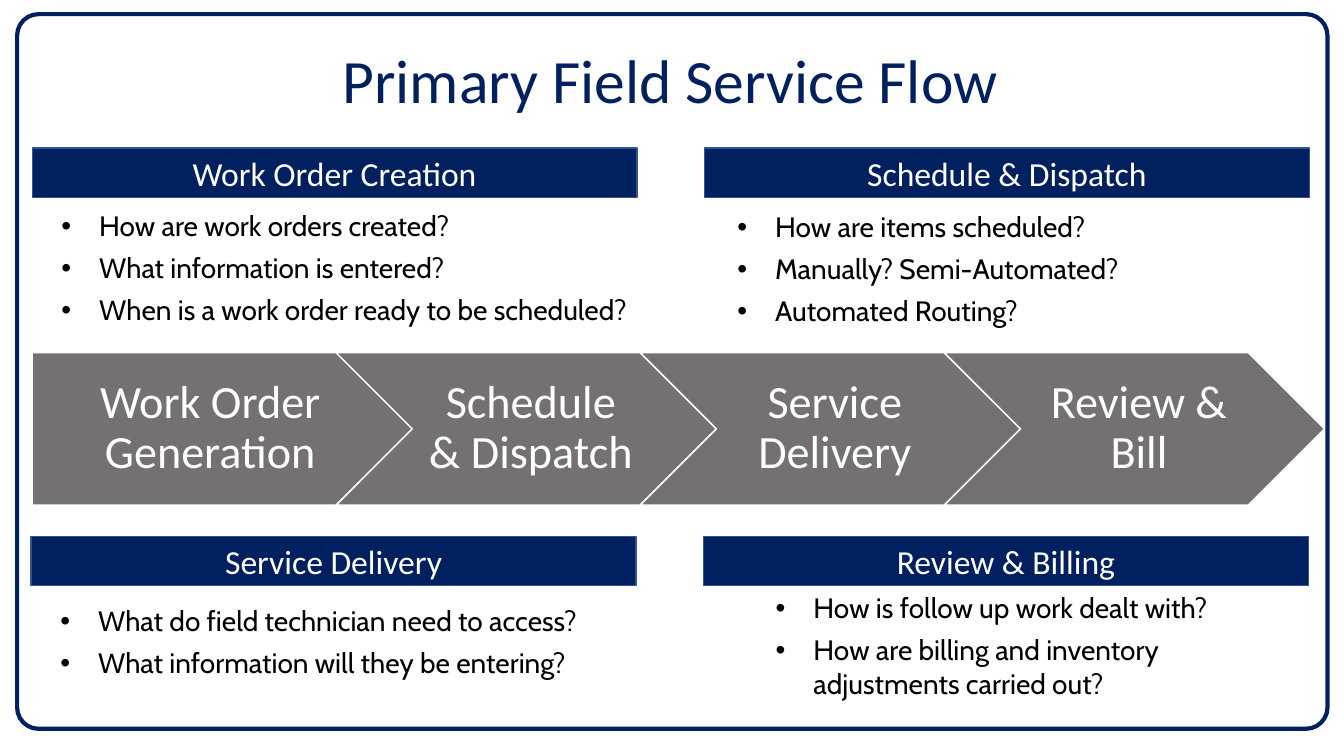
from dataclasses import dataclass

from lxml import etree
from pptx import Presentation
from pptx import util as u
from pptx.dml.color import RGBColor
from pptx.enum import shapes, text
from pptx.oxml import ns
from pptx.shapes.autoshape import Shape
from pptx.text.text import TextFrame

NAVY = RGBColor(0x00, 0x20, 0x60)
EDGE_BLUE = RGBColor(0x32, 0x54, 0x91)
GRAY = RGBColor(0x76, 0x71, 0x71)
WHITE = RGBColor(0xFF, 0xFF, 0xFF)
BLACK = RGBColor(0x00, 0x00, 0x00)

# The slide is a grid of 80 columns and 45 rows of square cells
COLUMNS, ROWS = 80, 45
CELL = u.Inches(7.5) / ROWS
HANGING = 2.25


@dataclass(frozen=True)
class Box:
    column: float
    row: float
    columns: float
    rows: float


@dataclass(frozen=True)
class Topic:
    heading: str
    heading_box: Box
    questions: tuple[str, ...]
    list_box: Box
    indent: float


TOPICS = (
    Topic("Work Order Creation", Box(1.92, 8.82, 36, 2.94),
          ("How are work orders created?", "What information is entered?",
           "When is a work order ready to be scheduled?"),
          Box(1.92, 12.12, 40, 7.68), 3.38),
    Topic("Schedule & Dispatch", Box(41.94, 8.82, 36, 2.94),
          ("How are items scheduled?", "Manually? Semi-Automated?", "Automated Routing?"),
          Box(41.4, 12.18, 38.1, 7.68), 4.14),
    Topic("Service Delivery", Box(1.86, 31.92, 36, 2.94),
          ("What do field technician need to access?", "What information will they be entering?"),
          Box(1.86, 35.64, 40, 5.16), 3.38),
    Topic("Review & Billing", Box(41.88, 31.92, 36, 2.94),
          ("How is follow up work dealt with?",
           "How are billing and inventory adjustments carried out?"),
          Box(42.6, 34.86, 35.34, 7.14), 5.22),
)
STAGES = ("Work Order Generation", "Schedule & Dispatch", "Service Delivery", "Review & Bill")
FIRST_STAGE = Box(1.92, 21, 22.62, 9.06)
STAGE_STEP = 18.1


def cells(count: float) -> u.Emu:
    return u.Emu(round(count * CELL))


def place(shape, box: Box) -> None:
    shape.left, shape.top = cells(box.column), cells(box.row)
    shape.width, shape.height = cells(box.columns), cells(box.rows)


def add_run(paragraph, words: str, size: float, font: str, color: RGBColor) -> None:
    run = paragraph.add_run()
    run.text = words
    run.font.size, run.font.name, run.font.bold = u.Pt(size), font, False
    run.font.color.rgb = color


def add_panel(slide, kind, box: Box, fill: RGBColor, line: RGBColor, weight: float) -> Shape:
    shape = slide.shapes.add_shape(kind, 0, 0, 0, 0)
    place(shape, box)
    shape.shadow.inherit = False
    shape.fill.solid()
    shape.fill.fore_color.rgb = fill
    shape.line.color.rgb = line
    shape.line.width = u.Pt(weight)
    return shape


def center_text(frame: TextFrame, words: str, size: float, color: RGBColor) -> None:
    frame.word_wrap = True
    frame.auto_size = text.MSO_AUTO_SIZE.NONE
    frame.vertical_anchor = text.MSO_ANCHOR.MIDDLE
    paragraph = frame.paragraphs[0]
    paragraph.alignment = text.PP_ALIGN.CENTER
    add_run(paragraph, words, size, "Calibri", color)


def fill_list(placeholder, topic: Topic) -> None:
    place(placeholder, topic.list_box)
    frame = placeholder.text_frame
    frame.word_wrap = True
    frame.auto_size = text.MSO_AUTO_SIZE.NONE
    frame.vertical_anchor = text.MSO_ANCHOR.TOP
    for index, question in enumerate(topic.questions):
        paragraph = frame.add_paragraph() if index else frame.paragraphs[0]
        properties = paragraph._p.get_or_add_pPr()
        properties.set("marL", str(cells(topic.indent)))
        properties.set("indent", str(-cells(HANGING)))
        etree.SubElement(properties, ns.qn("a:buFont"), typeface="Arial")
        etree.SubElement(properties, ns.qn("a:buChar"), char="•")
        paragraph.space_before, paragraph.space_after = u.Pt(0), u.Pt(6)
        add_run(paragraph, question, 20, "Cabin", BLACK)


def add_stage(slide, index: int, words: str) -> None:
    kind = shapes.MSO_SHAPE.CHEVRON if index else shapes.MSO_SHAPE.PENTAGON
    box = Box(FIRST_STAGE.column + index * STAGE_STEP, FIRST_STAGE.row,
              FIRST_STAGE.columns, FIRST_STAGE.rows)
    stage = add_panel(slide, kind, box, GRAY, WHITE, 1)
    frame = stage.text_frame
    frame.margin_left = cells(0.84 if index else 1.14)
    frame.margin_right = cells(0.3)
    frame.margin_top = frame.margin_bottom = cells(0.6)
    center_text(frame, words, 33, WHITE)
    frame.paragraphs[0].line_spacing = 0.9


def main() -> None:
    presentation = Presentation()
    presentation.slide_width, presentation.slide_height = cells(COLUMNS), cells(ROWS)
    # The comparison layout offers a title and four bodies
    slide = presentation.slides.add_slide(presentation.slide_layouts[4])
    title, *bodies = [item for item in slide.placeholders if item.placeholder_format.idx < 10]

    # Rounded frame, sent behind everything
    frame = add_panel(slide, shapes.MSO_SHAPE.ROUNDED_RECTANGLE,
                      Box(1.02, 0.84, 78, 42.54), WHITE, NAVY, 3)
    frame.adjustments[0] = 0.03
    title.element.addprevious(frame.element)

    # Title
    place(title, Box(1.92, 1.86, 76, 5.64))
    center_text(title.text_frame, "Primary Field Service Flow", 44, NAVY)

    # Process arrows
    for index, words in enumerate(STAGES):
        add_stage(slide, index, words)

    # Headings with their questions
    for topic, body in zip(TOPICS, bodies):
        fill_list(body, topic)
        heading = add_panel(slide, shapes.MSO_SHAPE.RECTANGLE,
                            topic.heading_box, NAVY, EDGE_BLUE, 1)
        center_text(heading.text_frame, topic.heading, 24, WHITE)

    presentation.save("out.pptx")


if __name__ == "__main__":
    main()
